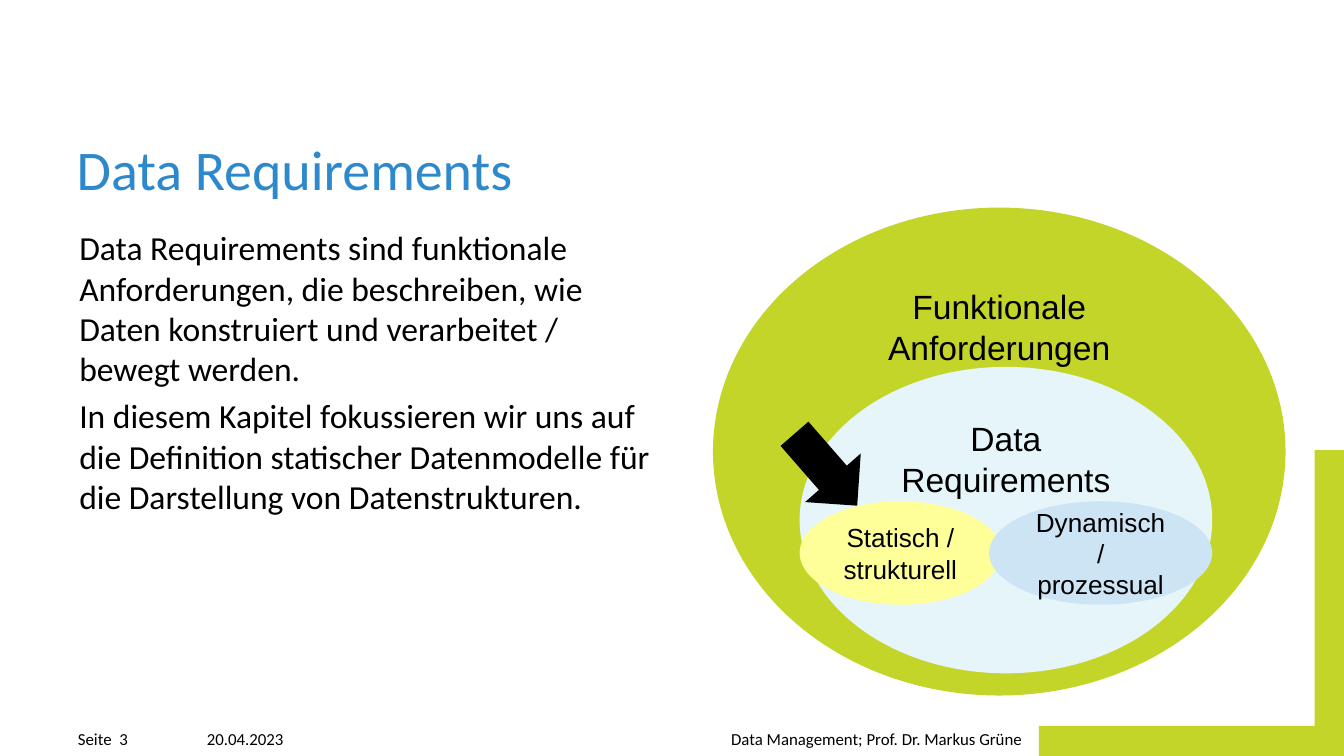
import pptx
import pptx.dml.color
import pptx.enum.shapes
import pptx.enum.text
import pptx.util
from pptx.util import Inches

COLORS = {
    "title": "2D89CC",
    "text": "000000",
    "green": "C4D52A",
    "ice": "E6F5FA",
    "yellow": "FFFF99",
    "blue": "CDE4F5",
}
SHAPES = pptx.enum.shapes.MSO_SHAPE
ANCHOR = pptx.enum.text.MSO_ANCHOR
ALIGN = pptx.enum.text.PP_ALIGN


def rgb(name):
    return pptx.dml.color.RGBColor.from_string(COLORS[name])


def write_text(frame, paragraphs, size, font="Calibri", color="text", align=ALIGN.LEFT,
               anchor=ANCHOR.TOP, spacing=None, before=0, wrap=True):
    frame.word_wrap = wrap
    frame.vertical_anchor = anchor
    frame.text = "\n".join(paragraphs)
    for paragraph in frame.paragraphs:
        paragraph.alignment = align
        paragraph.line_spacing = spacing
        paragraph.space_before = pptx.util.Pt(before)
        paragraph.font.name = font
        paragraph.font.size = pptx.util.Pt(size)
        paragraph.font.color.rgb = rgb(color)


def clear_margins(frame):
    frame.margin_left = frame.margin_top = frame.margin_right = frame.margin_bottom = 0


def set_title(slide, text):
    title = slide.shapes.title
    title.left, title.top = Inches(0.57), Inches(1.08)
    title.width, title.height = Inches(8.84), Inches(0.43)
    clear_margins(title.text_frame)
    title.text_frame.auto_size = pptx.enum.text.MSO_AUTO_SIZE.NONE
    write_text(title.text_frame, [text], 30, color="title", anchor=ANCHOR.BOTTOM, spacing=0.9)


def add_text(slide, left, top, width, height, paragraphs, size, **style):
    box = slide.shapes.add_textbox(Inches(left), Inches(top), Inches(width), Inches(height))
    clear_margins(box.text_frame)
    write_text(box.text_frame, paragraphs, size, **style)


def add_filled_shape(slide, kind, left, top, width, height, fill):
    shape = slide.shapes.add_shape(kind, Inches(left), Inches(top), Inches(width), Inches(height))
    shape.shadow.inherit = False
    shape.fill.solid()
    shape.fill.fore_color.rgb = rgb(fill)
    shape.line.fill.background()
    return shape


def add_ellipse(slide, left, top, width, height, fill, text, size, anchor):
    ellipse = add_filled_shape(slide, SHAPES.OVAL, left, top, width, height, fill)
    write_text(ellipse.text_frame, [text], size, font="Arial", align=ALIGN.CENTER, anchor=anchor)
    return ellipse


def add_corner(slide):
    corner = add_filled_shape(slide, SHAPES.CORNER, 7.73, 3.35, 2.28, 2.28, "green")
    corner.adjustments[0] = 0.1
    corner.adjustments[1] = 0.1
    corner.element.spPr.xfrm.set("flipH", "1")


def add_footer(slide):
    style = {"size": 9, "anchor": ANCHOR.BOTTOM}
    add_text(slide, 0.58, 5.42, 0.55, 0.15, ["Seite  3"], wrap=False, **style)
    add_text(slide, 1.54, 5.39, 3.94, 0.18, ["20.04.2023"], spacing=1.2, **style)
    add_text(slide, 5.31, 5.39, 2.29, 0.18, ["Data Management; Prof. Dr. Markus Grüne"],
             spacing=1.2, align=ALIGN.RIGHT, **style)


def add_diagram(slide):
    outer = add_ellipse(slide, 5.31, 1.55, 4.25, 3.62, "green",
                        "Funktionale Anforderungen", 18, ANCHOR.TOP)
    outer.line.color.rgb = rgb("green")
    outer.line.width = pptx.util.Pt(0.75)
    add_ellipse(slide, 5.95, 2.73, 3.07, 2.28, "ice", "Data Requirements", 18, ANCHOR.TOP)
    add_ellipse(slide, 5.95, 3.73, 1.5, 0.77, "yellow",
                "Statisch / strukturell", 14, ANCHOR.MIDDLE)
    add_ellipse(slide, 7.36, 3.73, 1.66, 0.77, "blue",
                "Dynamisch/ prozessual", 14, ANCHOR.MIDDLE)
    arrow = add_filled_shape(slide, SHAPES.DOWN_ARROW, 5.87, 3.14, 0.55, 0.71, "text")
    arrow.rotation = 318.9


def main():
    presentation = pptx.Presentation()
    presentation.slide_width = Inches(10)
    presentation.slide_height = Inches(10) * 9 // 16
    slide = presentation.slides.add_slide(presentation.slide_layouts[5])
    add_corner(slide)
    set_title(slide, "Data Requirements")
    add_text(slide, 0.59, 1.69, 4.34, 3.54, [
        "Data Requirements sind funktionale Anforderungen, die beschreiben, "
        "wie Daten konstruiert und verarbeitet / bewegt werden.",
        "In diesem Kapitel fokussieren wir uns auf die Definition statischer "
        "Datenmodelle für die Darstellung von Datenstrukturen.",
    ], 18, before=3.6)
    add_footer(slide)
    add_diagram(slide)
    presentation.save("out.pptx")


if __name__ == "__main__":
    main()
